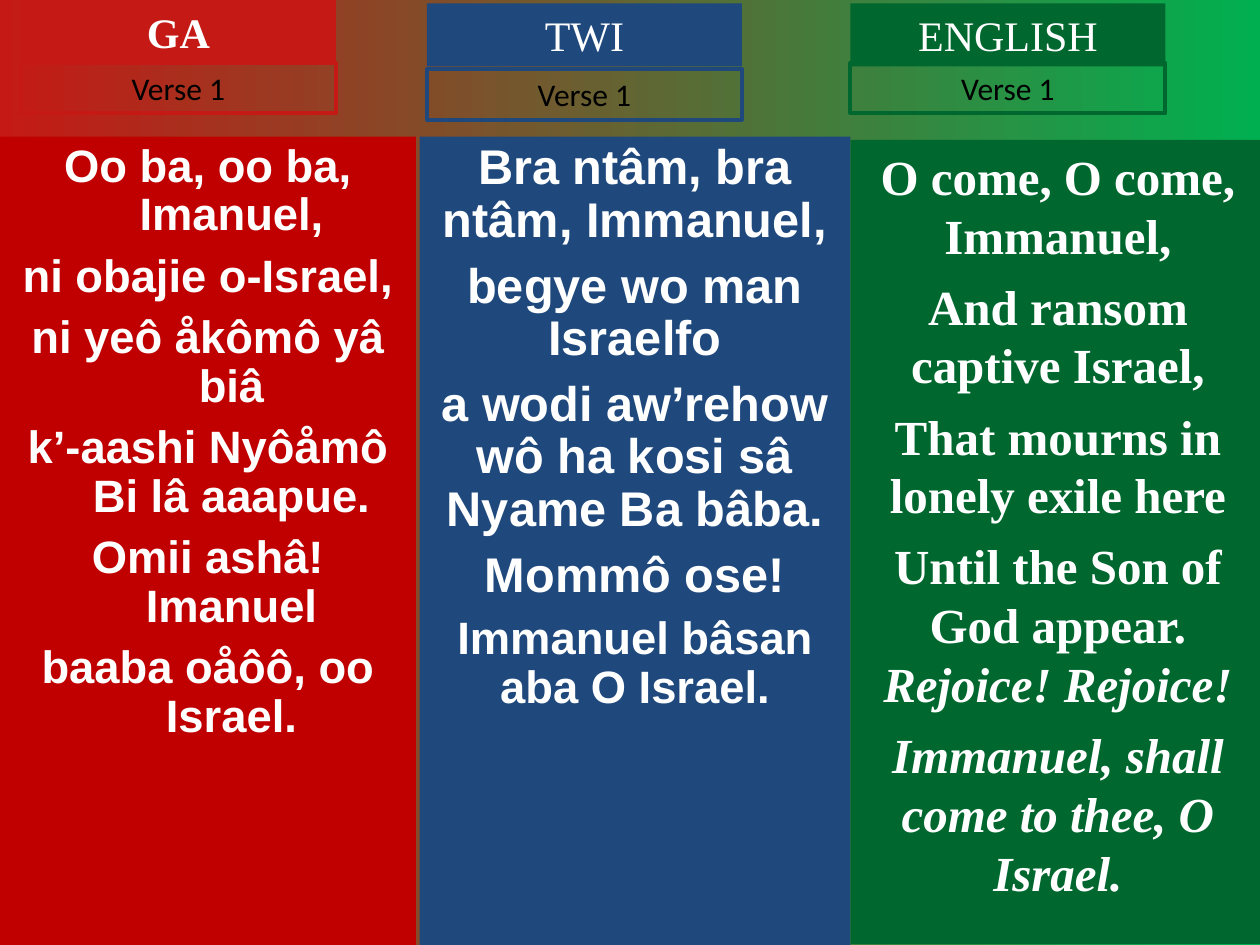
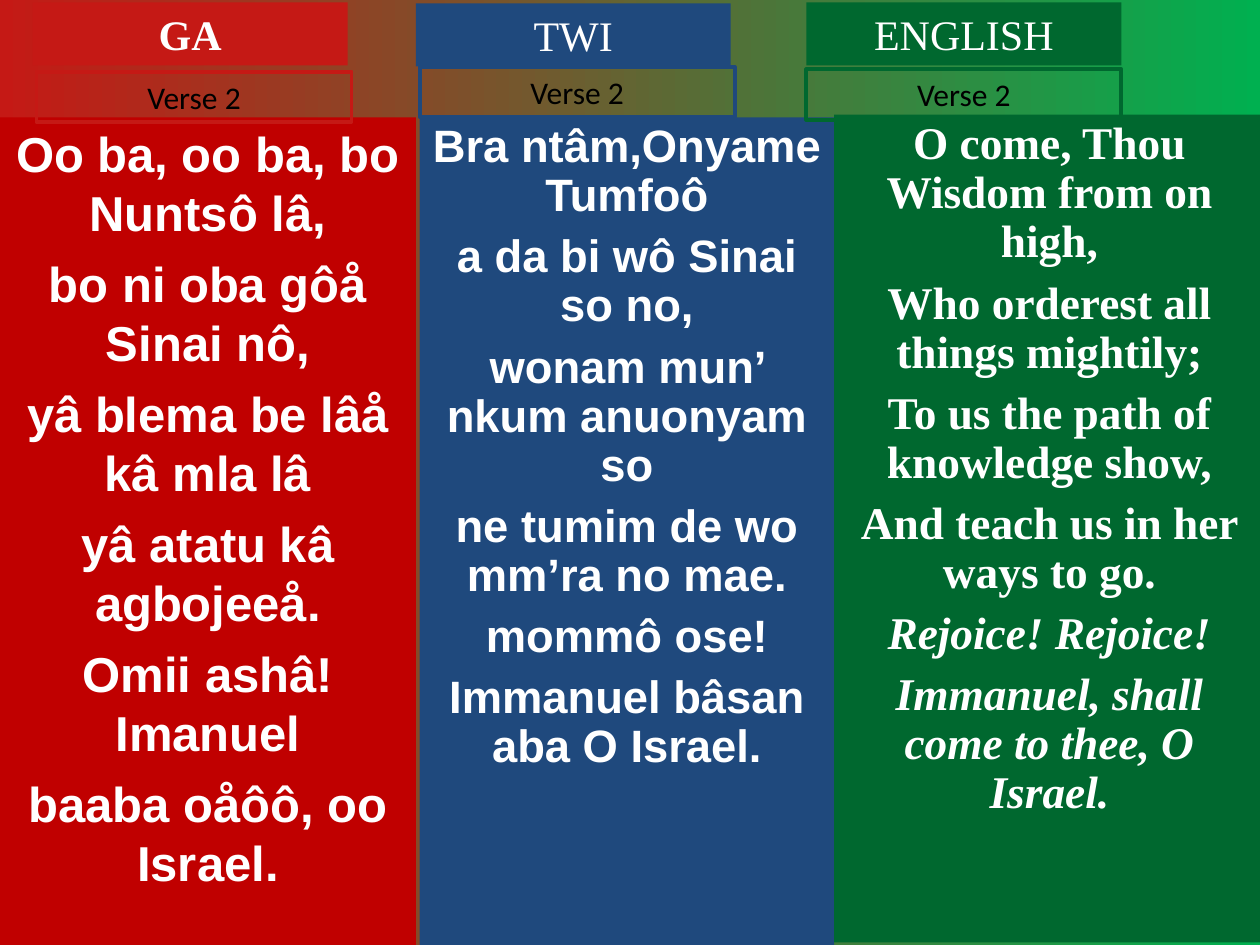
from dataclasses import dataclass

from lxml import etree
from pptx import Presentation
from pptx.dml.color import RGBColor
from pptx.enum.shapes import MSO_SHAPE
from pptx.enum.text import MSO_ANCHOR, MSO_AUTO_SIZE, PP_ALIGN
from pptx.oxml.ns import qn
from pptx.util import Pt

RECTANGLE = MSO_SHAPE.RECTANGLE
CENTER = PP_ALIGN.CENTER
TOP = MSO_ANCHOR.TOP
NO_AUTOFIT = MSO_AUTO_SIZE.NONE
TWO_CONTENT_LAYOUT = 3

# Colours and fonts
RED = RGBColor(0xC5, 0x19, 0x15)
DARK_RED = RGBColor(0xC0, 0x00, 0x00)
BLUE = RGBColor(0x1F, 0x49, 0x7D)
GREEN = RGBColor(0x00, 0x68, 0x2F)
BRIGHT_GREEN = RGBColor(0x00, 0xB0, 0x50)
WHITE = RGBColor(0xFF, 0xFF, 0xFF)
BLACK = RGBColor(0x00, 0x00, 0x00)
SANS, SERIF, LABEL = "Arial", "Times New Roman", "Calibri"

HEADER_SIZE = (180, 36)
VERSE_SIZE = (180, 28.8)
HANGING_INDENT = 27


@dataclass
class Language:
    name: str
    color: RGBColor
    panel_color: RGBColor
    lyrics_font: str
    bold_header: bool = False


@dataclass
class Column:
    """Places are points; text after "|" in a lyric line is italic."""
    header_at: tuple
    verse_at: tuple
    panel_box: tuple
    lyrics: list
    size: float = 25.9
    last_size: float = 0
    spacing: float = 0.9
    space_before: float = 7
    hanging: bool = False


LANGUAGES = [
    Language("GA", RED, DARK_RED, SANS, bold_header=True),
    Language("TWI", BLUE, BLUE, SANS),
    Language("ENGLISH", GREEN, GREEN, SERIF),
]

VERSES = {
    "Verse 1": [
        Column((12, 0), (12, 36), (0, 78, 237.6, 462),
               ["Oo ba, oo ba, Imanuel,", "ni obajie o-Israel,",
                "ni yeô åkômô yâ biâ", "k’-aashi Nyôåmô Bi lâ aaapue.",
                "Omii ashâ! Imanuel", "baaba oåôô, oo Israel."],
               hanging=True),
        Column((244, 2), (244, 39.6), (239.8, 78, 246.2, 462),
               ["Bra ntâm, bra ntâm, Immanuel,", "begye wo man Israelfo",
                "a wodi aw’rehow wô ha kosi sâ Nyame Ba bâba.",
                "Mommô ose!", "Immanuel bâsan aba O Israel."],
               size=27.8, last_size=25.9, space_before=7.5),
        Column((486, 2), (486, 36), (486, 80, 237, 459.4),
               ["O come, O come, Immanuel,", "And ransom captive Israel,",
                "That mourns in lonely exile here",
                "Until the Son of God appear.| Rejoice! Rejoice!",
                "|Immanuel, shall come to thee, O Israel."],
               size=28, spacing=1),
    ],
    "Verse 2": [
        Column((18.7, 1.4), (20.9, 41), (0, 67, 237.6, 473),
               ["Oo ba, oo ba, bo Nuntsô lâ,", "bo ni oba gôå Sinai nô,",
                "yâ blema be lâå kâ mla lâ", "yâ atatu kâ agbojeeå.",
                "Omii ashâ! Imanuel", "baaba oåôô, oo Israel."],
               size=28, spacing=1),
        Column((237.6, 2), (239.8, 38.2), (239.8, 67, 236.9, 473),
               ["Bra ntâm,Onyame Tumfoô", "a da bi wô Sinai so no,",
                "wonam mun’ nkum anuonyam so", "ne tumim de wo mm’ra no mae.",
                "mommô ose!", "Immanuel bâsan aba O Israel."]),
        Column((460.8, 1.4), (460.8, 39.6), (476.6, 65.5, 246.2, 473),
               ["O come, Thou Wisdom from on high,",
                "Who orderest all things mightily;",
                "To us the path of knowledge show,",
                "And teach us in her ways to go.", "|Rejoice! Rejoice!",
                "|Immanuel, shall come to thee, O Israel."]),
    ],
}


def set_values(target, values):
    for name, value in values.items():
        setattr(target, name, value)


def set_font(font, color, **values):
    set_values(font, values)
    font.color.rgb = color


def place_box(slide, box, placeholder=None):
    """Place a placeholder, or a new rectangle, with the shared text frame."""
    left, top, width, height = map(Pt, box)
    if placeholder is None:
        shape = slide.shapes.add_shape(RECTANGLE, left, top, width, height)
        shape.shadow.inherit = False
    else:
        shape = placeholder
        set_values(shape, {"left": left, "top": top,
                           "width": width, "height": height})
    shape.line.fill.background()
    set_values(shape.text_frame, {
        "word_wrap": True, "auto_size": NO_AUTOFIT, "vertical_anchor": TOP,
        "margin_left": Pt(7.2), "margin_right": Pt(7.2),
        "margin_top": Pt(3.6), "margin_bottom": Pt(3.6)})
    return shape


def fill_shape(shape, color):
    shape.fill.solid()
    shape.fill.fore_color.rgb = color


def add_header(slide, at, language, placeholder):
    shape = place_box(slide, (*at, *HEADER_SIZE), placeholder)
    fill_shape(shape, language.color)
    paragraph = shape.text_frame.paragraphs[0]
    paragraph.text = language.name
    paragraph.alignment = CENTER
    set_font(paragraph.font, WHITE, name=SERIF, size=Pt(24),
             bold=language.bold_header)


def add_verse_label(slide, at, text, color):
    shape = place_box(slide, (*at, *VERSE_SIZE))
    shape.fill.background()
    shape.line.color.rgb = color
    shape.line.width = Pt(2.25)
    paragraph = shape.text_frame.paragraphs[0]
    paragraph.text = text
    paragraph.alignment = CENTER
    set_font(paragraph.font, BLACK, name=LABEL, size=Pt(18))


def add_lyrics_panel(slide, column, language, placeholder):
    shape = place_box(slide, column.panel_box, placeholder)
    fill_shape(shape, language.panel_color)
    frame = shape.text_frame
    indent = HANGING_INDENT if column.hanging else 0
    last = len(column.lyrics) - 1
    for index, line in enumerate(column.lyrics):
        paragraph = frame.add_paragraph() if index else frame.paragraphs[0]
        properties = paragraph._p.get_or_add_pPr()
        properties.set("marL", str(Pt(indent)))
        properties.set("indent", str(Pt(-indent)))
        etree.SubElement(properties, qn("a:buNone"))
        set_values(paragraph, {
            "alignment": CENTER, "line_spacing": column.spacing,
            "space_before": Pt(column.space_before if index else 0)})
        size = column.last_size if index == last and column.last_size else column.size
        plain, _, italic = line.partition("|")
        for text, is_italic in ((plain, False), (italic, True)):
            if text:
                run = paragraph.add_run()
                run.text = text
                set_font(run.font, WHITE, name=language.lyrics_font,
                         size=Pt(size), bold=True, italic=is_italic)


def paint_background(slide):
    fill = slide.background.fill
    fill.gradient()
    fill.gradient_angle = 0
    for stop, color, position in zip(fill.gradient_stops, (RED, BRIGHT_GREEN), (0, 1)):
        stop.color.rgb = color
        stop.position = position


def add_verse_slide(presentation, verse, columns):
    layout = presentation.slide_layouts[TWO_CONTENT_LAYOUT]
    slide = presentation.slides.add_slide(layout)
    paint_background(slide)
    title, *bodies = list(slide.placeholders)[:3]
    headers = [title, None, None]
    panels = [*bodies, None]
    # Panels first, so that the verse labels lie on top of them
    for column, language, panel in zip(columns, LANGUAGES, panels):
        add_lyrics_panel(slide, column, language, panel)
    for column, language, header in zip(columns, LANGUAGES, headers):
        add_header(slide, column.header_at, language, header)
        add_verse_label(slide, column.verse_at, verse, language.color)


def main():
    presentation = Presentation()
    presentation.slide_width = Pt(720)
    presentation.slide_height = Pt(540)
    for verse, columns in VERSES.items():
        add_verse_slide(presentation, verse, columns)
    presentation.save("out.pptx")


if __name__ == "__main__":
    main()
